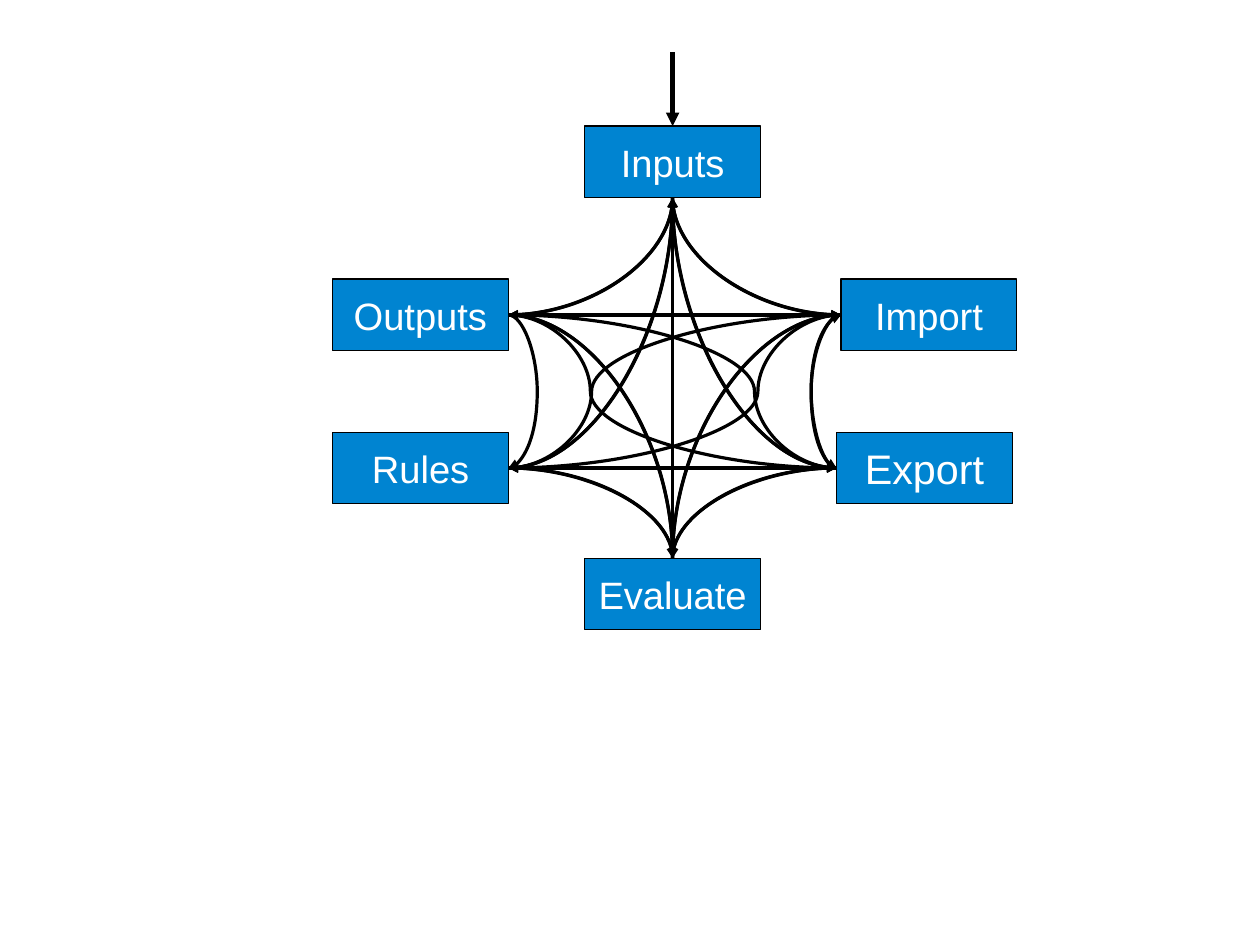
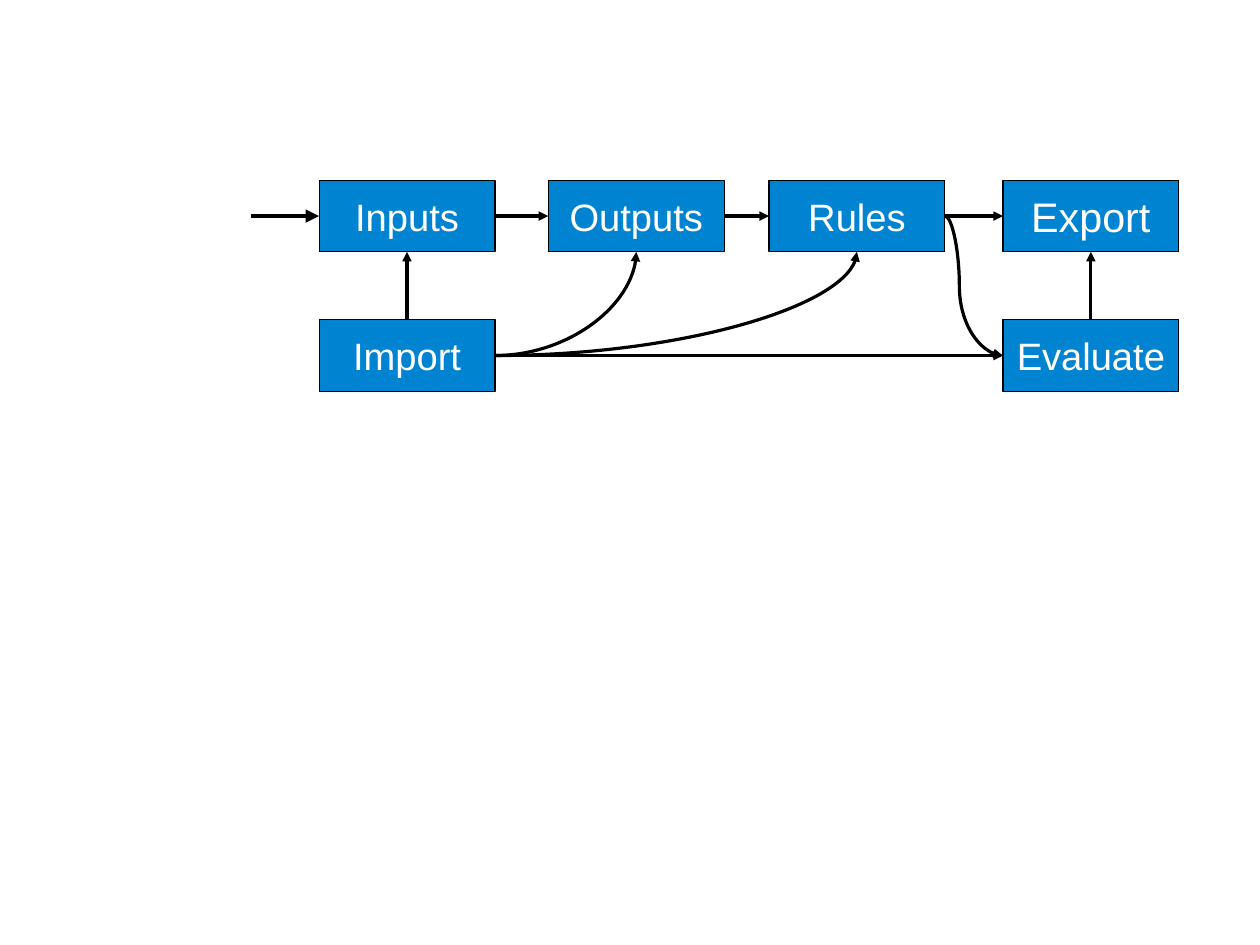
from itertools import permutations

from lxml import etree
from pptx import Presentation
from pptx.dml.color import RGBColor
from pptx.enum import shapes, text
from pptx.oxml.ns import qn
from pptx.util import Pt

THEME = {
    "font": "Arial",
    "box": RGBColor(0x00, 0x84, 0xD1),
    "ink": RGBColor(0, 0, 0),
    "label": RGBColor(0xFF, 0xFF, 0xFF),
    "size": 24,
    "sizes": {"Export": 26},
    "thin": 0,
    "thick": 2.83,
}
SLIDE_W, SLIDE_H = 793.7, 595.3
BOX_W, BOX_H = 110.8, 45.2
HOOK = 16
TOP, LEFT, BOTTOM, RIGHT = range(4)

PORTS = {"Inputs": BOTTOM, "Outputs": RIGHT, "Rules": RIGHT,
         "Import": LEFT, "Export": LEFT, "Evaluate": TOP}
UNLINKED = {("Inputs", "Evaluate"), ("Rules", "Outputs")}

SLIDES = [
    {
        "boxes": {
            "Inputs": (368.3, 79.4),
            "Outputs": (209.4, 175.8),
            "Rules": (209.5, 272.2),
            "Import": (529.8, 175.8),
            "Export": (527, 272.2),
            "Evaluate": (368.3, 351.6),
        },
        "entry": (0, -46.4, TOP),
        "links": [(a, PORTS[a], b, PORTS[b])
                  for a, b in permutations(PORTS, 2) if (a, b) not in UNLINKED],
    },
    {
        "boxes": {
            "Inputs": (201, 113.5),
            "Outputs": (345.4, 113.5),
            "Rules": (484.4, 113.5),
            "Export": (631.8, 113.5),
            "Import": (201, 201.4),
            "Evaluate": (631.8, 201.4),
        },
        "entry": (-42.6, 0, LEFT),
        "links": [
            ("Inputs", RIGHT, "Outputs", LEFT),
            ("Outputs", RIGHT, "Rules", LEFT),
            ("Rules", RIGHT, "Export", LEFT),
            ("Rules", RIGHT, "Evaluate", LEFT),
            ("Evaluate", TOP, "Export", BOTTOM),
            ("Import", TOP, "Inputs", BOTTOM),
            ("Import", RIGHT, "Outputs", BOTTOM),
            ("Import", RIGHT, "Rules", BOTTOM),
            ("Import", RIGHT, "Evaluate", LEFT),
        ],
    },
]


def port(box, side):
    fx, fy = [(0.5, 0), (0, 0.5), (0.5, 1), (1, 0.5)][side]
    return int(box.left + box.width * fx), int(box.top + box.height * fy)


def add_box(s, name, left, top):
    box = s.shapes.add_shape(shapes.MSO_SHAPE.RECTANGLE,
                             Pt(left), Pt(top), Pt(BOX_W), Pt(BOX_H))
    box.shadow.inherit = False
    box.fill.solid()
    box.fill.fore_color.rgb = THEME["box"]
    box.line.color.rgb = THEME["ink"]
    box.line.width = Pt(THEME["thin"])
    tf = box.text_frame
    tf.word_wrap = False
    tf.vertical_anchor = text.MSO_ANCHOR.MIDDLE
    p = tf.paragraphs[0]
    p.text = name
    p.alignment = text.PP_ALIGN.CENTER
    p.font.name = THEME["font"]
    p.font.size = Pt(THEME["sizes"].get(name, THEME["size"]))
    p.font.color.rgb = THEME["label"]
    return box


def add_arrow(s, kind, start, end, width, tip="tailEnd"):
    cxn = s.shapes.add_connector(kind, *start, *end)
    cxn.line.color.rgb = THEME["ink"]
    cxn.line.width = Pt(width)
    sp_pr = cxn._element.spPr
    etree.SubElement(sp_pr.find(qn("a:ln")), qn(f"a:{tip}"), type="triangle")
    etree.SubElement(sp_pr, qn("a:effectLst"))
    return cxn


def shape_curve(cxn, preset, bend=None):
    geom = cxn._element.spPr.find(qn("a:prstGeom"))
    geom.set("prst", preset)
    if bend is not None:
        guides = geom.find(qn("a:avLst"))
        etree.SubElement(guides, qn("a:gd"), name="adj1",
                         fmla=f"val {round(bend * 100000)}")


def add_link(s, a, a_side, b, b_side):
    tip = "tailEnd"
    sideways = (LEFT, RIGHT)
    if a_side not in sideways and b_side in sideways:
        a, a_side, b, b_side, tip = b, b_side, a, a_side, "headEnd"
    start, end = port(a, a_side), port(b, b_side)
    straight = a_side != b_side and (start[0] == end[0] or start[1] == end[1])
    kind = shapes.MSO_CONNECTOR.STRAIGHT if straight else shapes.MSO_CONNECTOR.CURVE
    cxn = add_arrow(s, kind, start, end, THEME["thin"], tip)
    cxn.begin_connect(a, a_side)
    cxn.end_connect(b, b_side)
    if straight:
        return
    if b_side not in sideways:
        shape_curve(cxn, "curvedConnector2")
    elif a_side == b_side:
        xs = start[0], end[0]
        via = min(xs) - Pt(HOOK) if a_side == LEFT else max(xs) + Pt(HOOK)
        shape_curve(cxn, "curvedConnector3", (via - xs[0]) / (xs[1] - xs[0]))
    else:
        shape_curve(cxn, "curvedConnector3", 0.25)


def add_entry(s, box, dx, dy, side):
    x, y = port(box, side)
    cxn = add_arrow(s, shapes.MSO_CONNECTOR.STRAIGHT,
                    (x + Pt(dx), y + Pt(dy)), (x, y), THEME["thick"])
    cxn.end_connect(box, side)


def main():
    prs = Presentation()
    prs.slide_width, prs.slide_height = Pt(SLIDE_W), Pt(SLIDE_H)
    for content in SLIDES:
        s = prs.slides.add_slide(prs.slide_layouts[6])
        boxes = {name: add_box(s, name, *at) for name, at in content["boxes"].items()}
        add_entry(s, boxes["Inputs"], *content["entry"])
        for a, a_side, b, b_side in content["links"]:
            add_link(s, boxes[a], a_side, boxes[b], b_side)
    prs.save("out.pptx")


if __name__ == "__main__":
    main()
